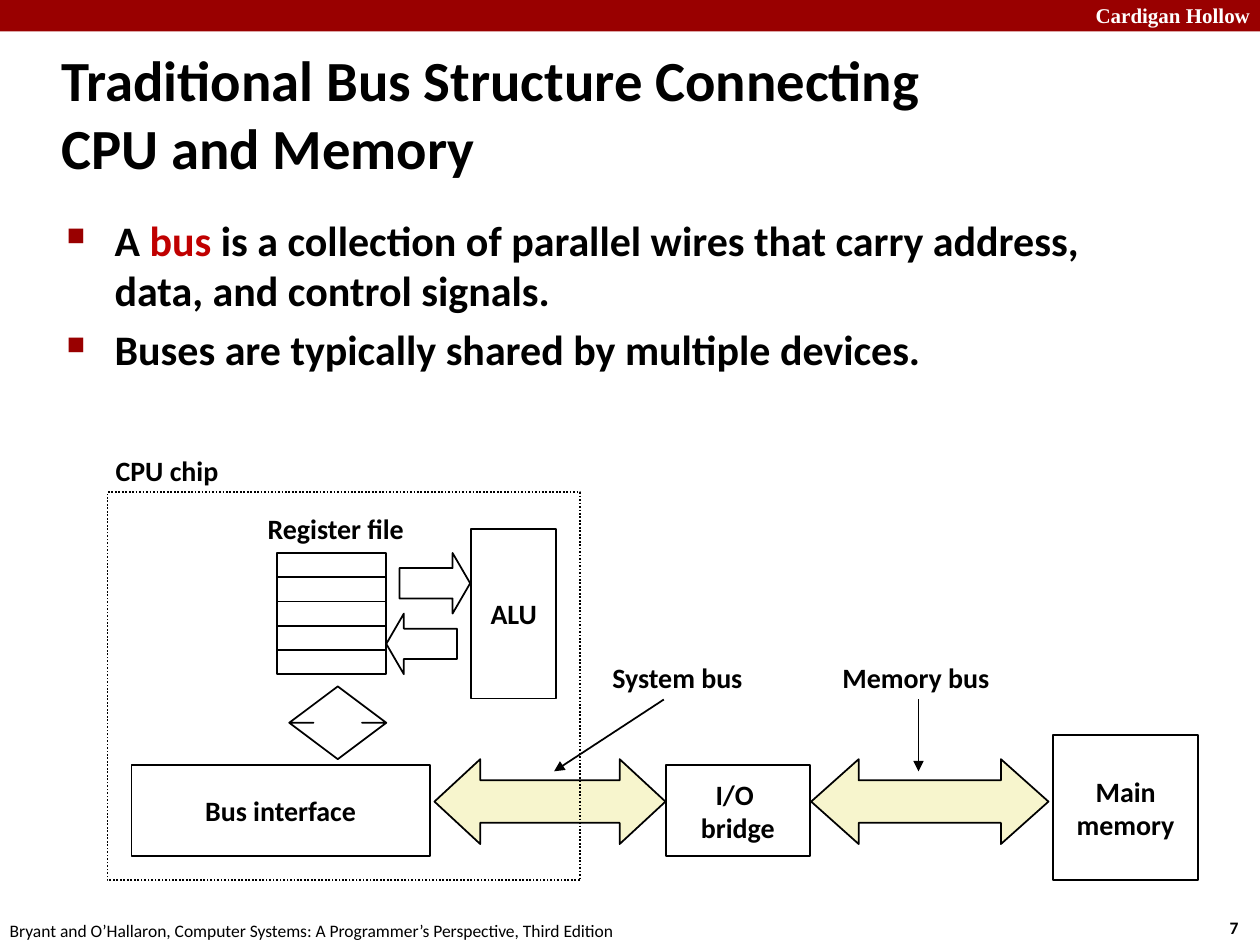
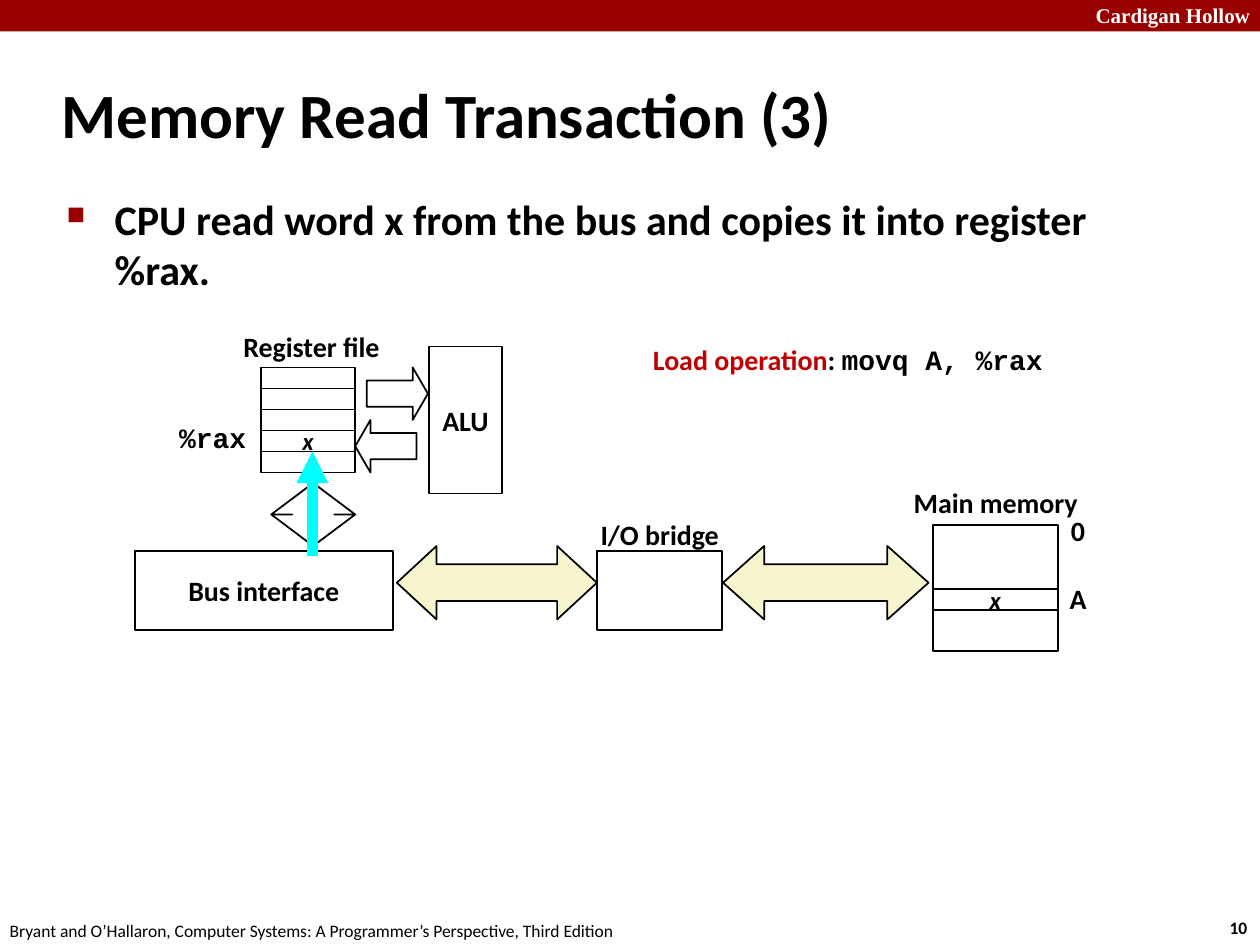
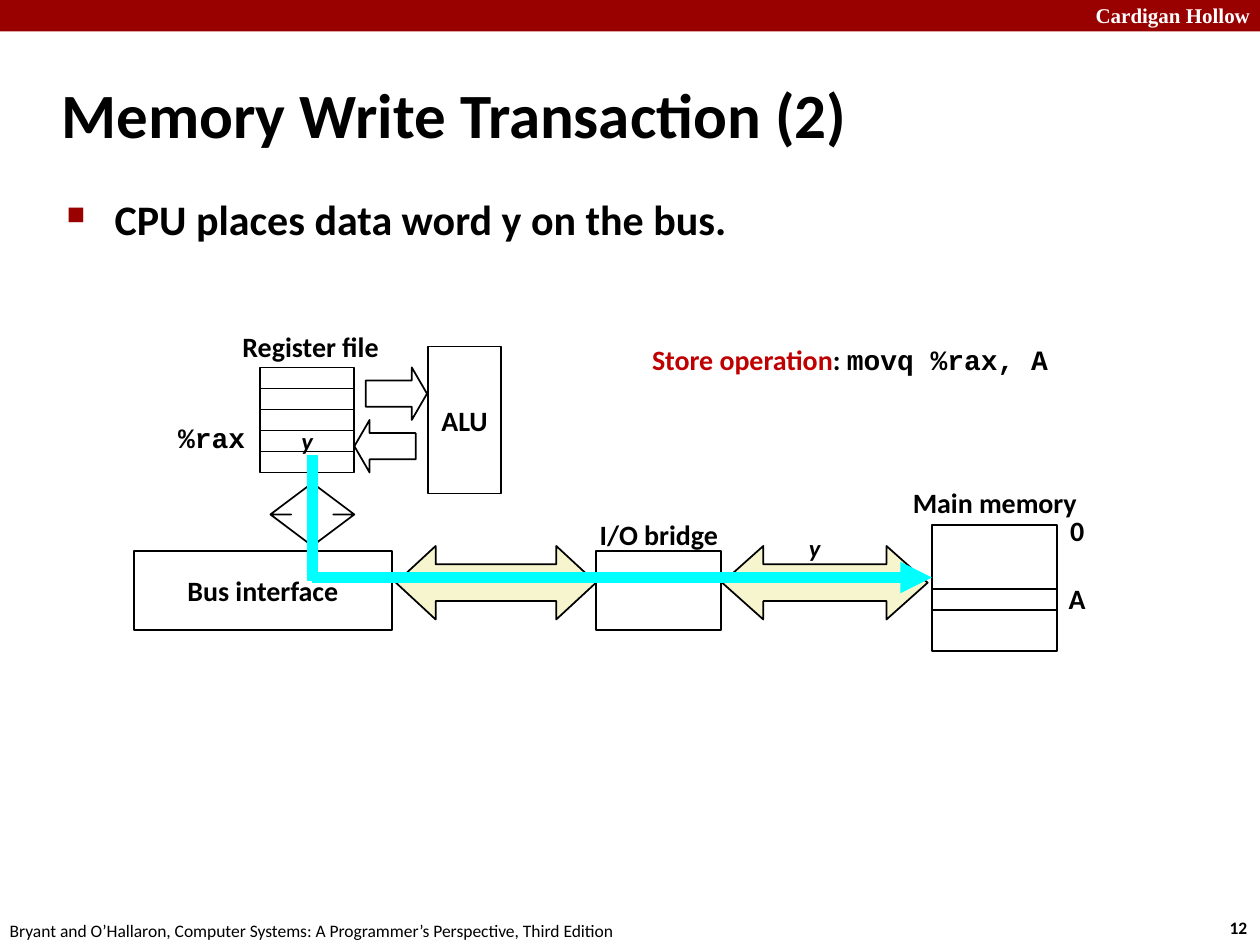
from lxml.etree import SubElement
from pptx import Presentation
from pptx.dml.color import RGBColor
from pptx.enum.dml import MSO_LINE
from pptx.enum.shapes import MSO_CONNECTOR, MSO_SHAPE
from pptx.enum.text import MSO_ANCHOR, PP_ALIGN
from pptx.oxml.ns import qn
from pptx.util import Pt

CRIMSON = RGBColor(0x99, 0x00, 0x00)
RED = RGBColor(0xC0, 0x00, 0x00)
BLACK = RGBColor(0, 0, 0)
WHITE = RGBColor(0xFF, 0xFF, 0xFF)
CREAM = RGBColor(0xF7, 0xF5, 0xCD)
CYAN = RGBColor(0x00, 0xFF, 0xFF)

SANS, MONO, SERIF = "Calibri", "Courier New", "Times New Roman"
WIDTH, HEIGHT = 720, 540
SCHOOL = "Cardigan Hollow"
BOOK = ("Bryant and O’Hallaron, Computer Systems: "
        "A Programmer’s Perspective, Third Edition")


class Deck:
    """Holds the style, the current slide and the diagram's origin and scale."""

    def __init__(self):
        self.prs = Presentation()
        self.prs.slide_width, self.prs.slide_height = Pt(WIDTH), Pt(HEIGHT)

    def new_slide(self, number, title, title_size=36):
        self.slide = self.prs.slides.add_slide(self.prs.slide_layouts[6])
        self.set_diagram(0, 0)
        self.shape(MSO_SHAPE.RECTANGLE, 0, 0, WIDTH, 18, fill=CRIMSON, line=None)
        self.text(612, -2, 109.5, 22, SCHOOL, size=12, font=SERIF, color=WHITE,
                  align=PP_ALIGN.RIGHT)
        self.text(695.5, 520.5, 27, 19, str(number), size=10)
        self.text(-1.5, 522, 366, 19, BOOK, size=10, bold=False)
        self.text(28, 34.5, 692, 60, title, size=title_size,
                  anchor=MSO_ANCHOR.MIDDLE)

    def set_diagram(self, left, top, scale=1):
        self.left, self.top, self.scale = left, top, scale

    def point(self, x, y):
        return Pt(self.left + x * self.scale), Pt(self.top + y * self.scale)

    def box(self, x, y, width, height):
        return *self.point(x, y), Pt(width * self.scale), Pt(height * self.scale)

    def style(self, paragraph, size, font=SANS, color=BLACK, bold=True,
              italic=False, align=PP_ALIGN.LEFT):
        paragraph.alignment = align
        face = paragraph.font
        face.size, face.name, face.bold, face.italic = Pt(size), font, bold, italic
        face.color.rgb = color

    def shape(self, kind, x, y, width, height, words="", fill=None, line=BLACK,
              dash=None, adjust=(), size=16, italic=False):
        shape = self.slide.shapes.add_shape(kind, *self.box(x, y, width, height))
        shape.shadow.inherit = False
        for index, value in enumerate(adjust):
            shape.adjustments[index] = value
        if fill is None:
            shape.fill.background()
        else:
            shape.fill.solid()
            shape.fill.fore_color.rgb = fill
        if line is None:
            shape.line.fill.background()
        else:
            shape.line.color.rgb = line
            shape.line.width = Pt(1)
            shape.line.dash_style = dash
        if words:
            frame = shape.text_frame
            frame.text = words
            frame.word_wrap = False
            frame.vertical_anchor = MSO_ANCHOR.MIDDLE
            for paragraph in frame.paragraphs:
                self.style(paragraph, size, italic=italic, align=PP_ALIGN.CENTER)

    def rect(self, *place, **look):
        self.shape(MSO_SHAPE.RECTANGLE, *place, **look)

    def text(self, x, y, width, height, words, size=16,
             anchor=MSO_ANCHOR.TOP, **look):
        """Text box with its size in plain points; only its place is scaled."""
        frame = self.slide.shapes.add_textbox(
            *self.point(x, y), Pt(width), Pt(height)).text_frame
        frame.word_wrap = False
        frame.vertical_anchor = anchor
        frame.text = words
        self.style(frame.paragraphs[0], size, **look)
        return frame

    def label(self, center_x, center_y, words, **look):
        width, height = 130, 26
        self.text(center_x - width / 2 / self.scale,
                  center_y - height / 2 / self.scale, width, height, words,
                  anchor=MSO_ANCHOR.MIDDLE, align=PP_ALIGN.CENTER, **look)

    def bullets(self, top, items):
        """Each item is a list of (text, colour) parts."""
        frame = self.slide.shapes.add_textbox(
            *self.box(31, top, 622, 392)).text_frame
        frame.word_wrap = True
        for index, parts in enumerate(items):
            paragraph = frame.add_paragraph() if index else frame.paragraphs[0]
            paragraph.space_before = Pt(4.8)
            properties = paragraph._p.get_or_add_pPr()
            properties.set("marL", str(Pt(27.4)))
            properties.set("indent", str(-Pt(27.4)))
            bullet_color = SubElement(properties, qn("a:buClr"))
            SubElement(bullet_color, qn("a:srgbClr"), val=str(CRIMSON))
            SubElement(properties, qn("a:buSzPct"), val="60000")
            SubElement(properties, qn("a:buChar"), char="■")
            self.style(paragraph, 24)
            for words, color in parts:
                run = paragraph.add_run()
                run.text = words
                run.font.color.rgb = color

    def line(self, start, end, color=BLACK, width=1, arrow=True):
        connector = self.slide.shapes.add_connector(
            MSO_CONNECTOR.STRAIGHT, *self.point(*start), *self.point(*end))
        connector.line.color.rgb = color
        connector.line.width = Pt(width)
        properties = connector.element.spPr
        if arrow:
            SubElement(properties.find(qn("a:ln")), qn("a:tailEnd"), type="triangle")
        SubElement(properties, qn("a:effectLst"))

    def operation(self, name, code):
        """Coloured operation name followed by its instruction."""
        paragraph = self.text(217, -18, 290, 26, name, color=RED).paragraphs[0]
        for words, font in ((": ", SANS), (code, MONO)):
            run = paragraph.add_run()
            run.text = words
            run.font.name = font
            run.font.color.rgb = BLACK

    def machine(self, register="", bridge="", memory=""):
        """CPU, buses and memory, measured from the register file's corner."""
        # Memory side
        self.rect(384, 90, 71.5, 72, words=memory)
        self.rect(192.2, 105, 71.4, 45, words=bridge)
        for x, width, head in ((77.8, 114.3, 0.54), (264.2, 117.4, 0.56)):
            self.shape(MSO_SHAPE.LEFT_RIGHT_ARROW, x, 102, width, 42,
                       fill=CREAM, adjust=(0.5, head))
        # Register file
        for row in range(5):
            self.rect(0, 12 * row, 54, 12, words=register if row == 3 else "",
                      size=14, italic=True)
        self.label(29, -12, "Register file")
        # ALU and the paths inside the CPU
        self.shape(MSO_SHAPE.RIGHT_ARROW, 60.5, 0, 35, 30, adjust=(0.5, 0.29))
        self.shape(MSO_SHAPE.LEFT_ARROW, 54, 30, 35, 30, adjust=(0.5, 0.29))
        self.rect(96, -12, 42, 84, words="ALU")
        self.shape(MSO_SHAPE.UP_DOWN_ARROW, 6, 66, 48, 36, adjust=(0.2, 0.5))
        self.rect(-72, 105, 147.5, 45, words="Bus interface")

    def addressed_memory(self, word=""):
        """Word at address A and the labels of a memory transaction."""
        self.rect(384, 126.5, 71.5, 12, words=word, size=14, italic=True)
        self.label(420, 77, "Main memory")
        self.label(467, 93, "0")
        self.label(467, 132, "A")
        self.label(-27.5, 40, "%rax", font=MONO)
        self.label(228, 95.5, "I/O bridge")


def main():
    deck = Deck()

    # Bus structure
    deck.new_slide(7, "Traditional Bus Structure Connecting \vCPU and Memory", 32.4)
    deck.bullets(119, [
        [("A ", BLACK), ("bus ", RED),
         ("is a collection of parallel wires that carry address, data, "
          "and control signals.", BLACK)],
        [("Buses are typically shared by multiple devices.", BLACK)],
    ])
    deck.set_diagram(158.4, 316, 1.155)
    deck.machine(bridge="I/O \nbridge", memory="Main\nmemory")
    deck.rect(-84, -30, 234, 192, dash=MSO_LINE.ROUND_DOT)
    deck.label(-54.5, -41, "CPU chip")
    deck.label(198, 61.5, "System bus")
    deck.line((191.3, 72.5), (137, 108))
    deck.label(316, 61.5, "Memory bus")
    deck.line((317.3, 72.5), (317.3, 108))

    # Memory read
    deck.new_slide(10, "Memory Read Transaction (3)")
    deck.bullets(107, [[("CPU read word x from the bus and copies it into "
                         "register %rax.", BLACK)]])
    deck.set_diagram(149, 210)
    deck.machine(register="x")
    deck.line((29.5, 108), (29.5, 48), CYAN, 6)
    deck.addressed_memory(word="x")
    deck.operation("Load operation", "movq A, %rax")

    # Memory write
    deck.new_slide(12, "Memory Write Transaction (2)")
    deck.bullets(107, [[("CPU places data word y on the bus.", BLACK)]])
    deck.set_diagram(148.5, 210)
    deck.machine(register="y")
    deck.line((30, 50), (30, 122), CYAN, 6, arrow=False)
    deck.line((30, 120), (384, 120), CYAN, 6)
    deck.label(317, 103, "y", size=14, italic=True)
    deck.addressed_memory()
    deck.operation("Store operation", "movq %rax, A")

    deck.prs.save("out.pptx")


if __name__ == "__main__":
    main()
